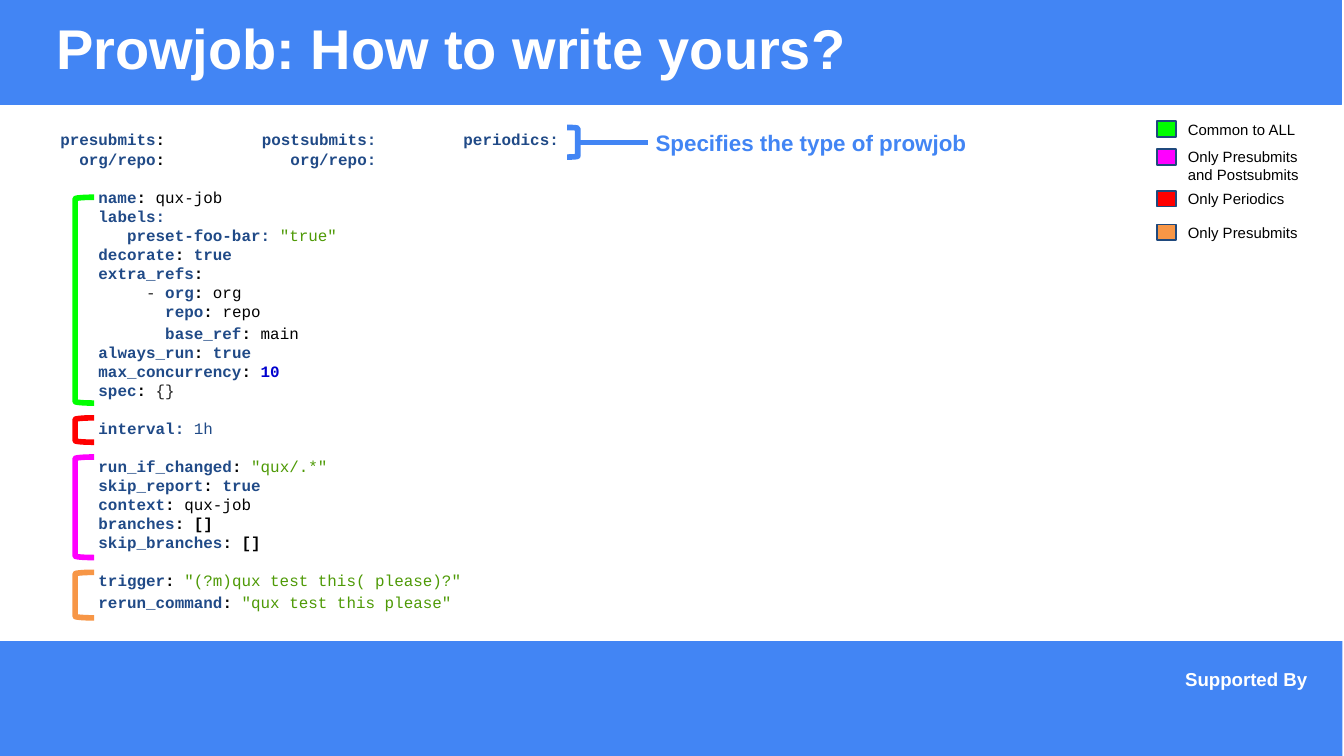
from lxml import etree
from pptx import Presentation
from pptx.dml.color import RGBColor
from pptx.enum.shapes import MSO_CONNECTOR, MSO_SHAPE
from pptx.enum.text import MSO_ANCHOR, MSO_AUTO_SIZE, PP_ALIGN
from pptx.oxml.ns import qn
from pptx.util import Cm, Pt

RECT, LEFT_BRACKET, RIGHT_BRACKET = (
    MSO_SHAPE.RECTANGLE, MSO_SHAPE.LEFT_BRACKET, MSO_SHAPE.RIGHT_BRACKET)
TOP, MIDDLE = MSO_ANCHOR.TOP, MSO_ANCHOR.MIDDLE

BLUE = RGBColor(0x42, 0x85, 0xF4)
WHITE = RGBColor(0xFF, 0xFF, 0xFF)
BLACK = RGBColor(0, 0, 0)
NAVY = RGBColor(0x1F, 0x49, 0x7D)
GREEN = RGBColor(0, 0xFF, 0)
MAGENTA = RGBColor(0xFF, 0, 0xFF)
RED = RGBColor(0xFF, 0, 0)
ORANGE = RGBColor(0xF7, 0x96, 0x46)
KEY_BLUE = RGBColor(0x20, 0x4A, 0x87)
STRING_GREEN = RGBColor(0x4E, 0x9A, 0x06)
NUMBER_BLUE = RGBColor(0, 0, 0xCF)
DARK_GREY = RGBColor(0x22, 0x22, 0x22)

# Content
HEADING = "Prowjob: How to write yours?"
CALLOUT = "Specifies the type of prowjob"
SUPPORT = "Supported By"

# Label, colour, swatch top, label top
LEGEND = [
    ("Common to ALL", GREEN, 2.29, 2.21),
    ("Only Presubmits and Postsubmits", MAGENTA, 2.82, 2.9),
    ("Only Periodics", RED, 3.61, 3.53),
    ("Only Presubmits", ORANGE, 4.24, 4.17),
]

# Colour, top, height of the bracket beside each code section
SECTIONS = [
    (GREEN, 3.73, 3.89),
    (RED, 7.9, 0.46),
    (MAGENTA, 8.64, 1.9),
    (ORANGE, 10.82, 0.86),
]

# Code styles: colour, bold
KEY = (KEY_BLUE, True)
MARK = (BLACK, True)
PLAIN = (BLACK, False)
DASH = (DARK_GREY, False)
STRING = (STRING_GREEN, False)
NUMBER = (NUMBER_BLUE, True)
INTERVAL = (KEY_BLUE, False)

CODE = [
    [("presubmits", KEY), (":\t\t", MARK), ("postsubmits:\t\tperiodics:", KEY)],
    [("  org/repo", KEY), (":\t\t   ", MARK), ("org/repo:", KEY)],
    [("  - ", DASH), ("name", KEY), (": ", MARK), ("qux-job", PLAIN)],
    [("    labels:", KEY)],
    [("       preset-foo-bar: ", KEY), ('"true"', STRING)],
    [("    decorate", KEY), (": ", MARK), ("true", KEY)],
    [("    extra_refs", KEY), (":", MARK)],
    [("         - ", DASH), ("org", KEY), (": ", MARK), ("org", PLAIN)],
    [("           repo", KEY), (": ", MARK), ("repo", PLAIN)],
    [("           base_ref", KEY), (": ", MARK), ("main", PLAIN)],
    [("    always_run", KEY), (": ", MARK), ("true", KEY)],
    [("    max_concurrency", KEY), (": ", MARK), ("10", NUMBER)],
    [("    spec", KEY), (": ", MARK), ("{}", DASH)],
    [("    interval:", KEY), (" 1h", INTERVAL)],
    [("    run_if_changed", KEY), (": ", MARK), ('"qux/.*"', STRING)],
    [("    skip_report", KEY), (": ", MARK), ("true", KEY)],
    [("    context", KEY), (": ", MARK), ("qux-job", PLAIN)],
    [("    branches", KEY), (": ", MARK), ("[]", MARK)],
    [("    skip_branches", KEY), (": ", MARK), ("[]", MARK)],
    [("    trigger", KEY), (": ", MARK), ('"(?m)qux test this( please)?"', STRING)],
    [("    rerun_command", KEY), (": ", MARK), ('"qux test this please"', STRING)],
]
SECTION_STARTS = {"  - ", "    interval:", "    run_if_changed", "    trigger"}
LOOSE_LINES = {"           base_ref", "    rerun_command"}
CODE_LINE = Pt(10.2)


def add_box(kind, left, top, width, height, fill, line, weight):
    box = slide.shapes.add_shape(kind, Cm(left), Cm(top), Cm(width), Cm(height))
    box.shadow.inherit = False
    if fill is None:
        box.fill.background()
    else:
        box.fill.solid()
        box.fill.fore_color.rgb = fill
    box.line.color.rgb = line
    box.line.width = Pt(weight)
    return box


def add_bracket(kind, left, top, width, height, color):
    bracket = add_box(kind, left, top, width, height, None, color, 3)
    bracket.adjustments[0] = 0.083


def set_frame(frame, anchor, inset=0.25):
    frame.word_wrap = True
    frame.auto_size = MSO_AUTO_SIZE.NONE
    frame.vertical_anchor = anchor
    frame.margin_left = frame.margin_right = Cm(inset)
    frame.margin_top = frame.margin_bottom = Cm(inset)


def style_run(run, font, size, color, bold):
    run.font.name = font
    run.font.size = Pt(size)
    run.font.color.rgb = color
    run.font.bold = bold


def add_frame(left, top, width, height, anchor, inset=0.25):
    box = slide.shapes.add_textbox(Cm(left), Cm(top), Cm(width), Cm(height))
    set_frame(box.text_frame, anchor, inset)
    return box.text_frame


def write(frame, text, size, color, bold):
    frame.text = text
    frame.paragraphs[0].alignment = PP_ALIGN.LEFT
    style_run(frame.paragraphs[0].runs[0], "Arial", size, color, bold)


deck = Presentation()
deck.slide_width, deck.slide_height = Cm(25.4), Cm(14.29)
slide = deck.slides.add_slide(deck.slide_layouts[5])

# Header and footer bands
header = add_box(RECT, 0, 0, 25.35, 1.98, BLUE, BLUE, 0.75)
footer = add_box(RECT, 0, 12.12, 25.37, 2.17, BLUE, BLUE, 0.75)
footer.line.fill.background()
write(add_frame(22.38, 12.6, 2.39, 0.46, TOP, 0.02), SUPPORT, 10, WHITE, True)

# Title, in front of the header band
title = slide.shapes.title
title.left, title.top, title.width, title.height = Cm(0.81), Cm(0), Cm(15.6), Cm(1.98)
title.element.addprevious(header.element)
set_frame(title.text_frame, TOP)
write(title.text_frame, HEADING, 30, WHITE, True)

# Callout for the job types
add_bracket(RIGHT_BRACKET, 10.72, 2.41, 0.2, 0.56, BLUE)
pointer = slide.shapes.add_connector(
    MSO_CONNECTOR.STRAIGHT, Cm(10.92), Cm(2.69), Cm(12.24), Cm(2.69))
pointer.line.color.rgb = BLUE
pointer.line.width = Pt(3)
etree.SubElement(pointer.element.spPr, qn("a:effectLst"))
write(add_frame(12.14, 2.41, 6.48, 0.56, MIDDLE), CALLOUT, 12, BLUE, True)

# Legend
for label, color, swatch_top, label_top in LEGEND:
    add_box(RECT, 21.87, swatch_top, 0.36, 0.3, color, NAVY, 0.75)
    write(add_frame(22.2, label_top, 3.07, 0.46, MIDDLE), label, 8, BLACK, False)

# Code listing
listing = add_frame(0.89, 2.21, 10.64, 9.6, TOP)
for number, segments in enumerate(CODE):
    code_line = listing.add_paragraph() if number else listing.paragraphs[0]
    start = segments[0][0]
    if start in SECTION_STARTS:
        code_line.space_before = CODE_LINE
    if start in LOOSE_LINES:
        code_line.line_spacing = 1.15
    for text, (color, bold) in segments:
        run = code_line.add_run()
        run.text = text
        style_run(run, "Courier New", 8.5, color, bold)

# Brackets that mark the code sections
for color, top, height in SECTIONS:
    add_bracket(LEFT_BRACKET, 1.42, top, 0.36, height, color)

deck.save("out.pptx")
